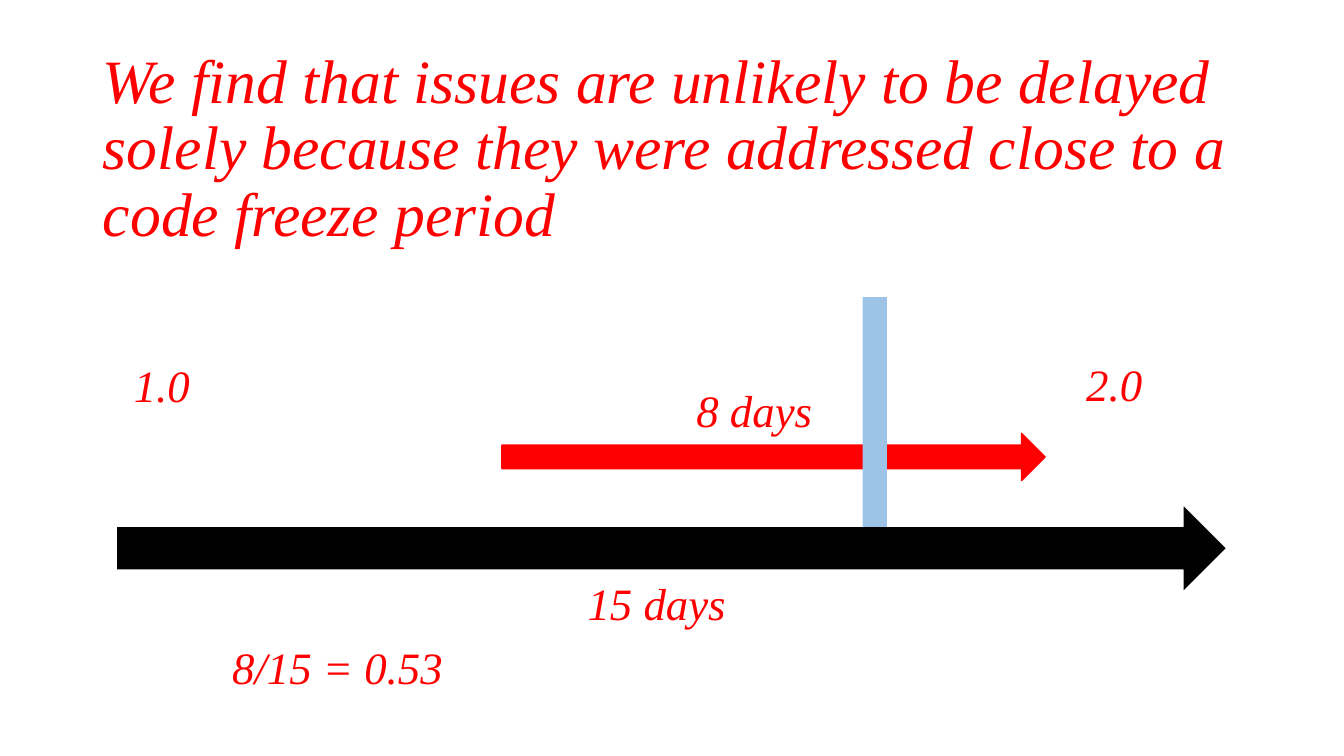
"""Builds a slide that sets the delay of an issue against a release cycle."""
from dataclasses import dataclass
from typing import Optional

from pptx import Presentation
from pptx.dml.color import RGBColor
from pptx.enum.shapes import MSO_SHAPE
from pptx.enum.text import MSO_ANCHOR, MSO_AUTO_SIZE, PP_ALIGN
from pptx.slide import Slide
from pptx.text.text import TextFrame
from pptx.util import Cm, Pt


@dataclass(frozen=True)
class Theme:
    font: str = "Times New Roman"
    red: str = "FF0000"
    black: str = "000000"
    white: str = "FFFFFF"
    blue: str = "9DC3E6"
    head: int = 44
    label: int = 32


@dataclass(frozen=True)
class Label:
    text: str
    left: float
    top: float
    width: float = 7.8
    height: float = 1.63


@dataclass(frozen=True)
class Block:
    kind: MSO_SHAPE
    left: float
    top: float
    width: float
    height: float
    fill: str
    line: Optional[str] = None


THEME = Theme()
TITLE = ("We find that issues are unlikely to be delayed solely because "
         "they were addressed close to a code freeze period")
CYCLE = Block(MSO_SHAPE.RIGHT_ARROW, 2.93, 12.71, 27.99, 2.21, THEME.black, THEME.white)
DELAY = Block(MSO_SHAPE.RIGHT_ARROW, 12.65, 10.92, 13.69, 1.19, THEME.red, THEME.red)
FREEZE = Block(MSO_SHAPE.RECTANGLE, 21.74, 7.49, 0.61, 5.79, THEME.blue)
LABELS = (
    Label("1.0", 0.18, 8.89),
    Label("2.0", 24.18, 8.86),
    Label("8 days", 15.11, 9.53),
    Label("15 days", 12.65, 14.38),
    Label("8/15 = 0.53 ", 4.75, 16),
)


def write(frame: TextFrame, text: str, *, size: int, align: PP_ALIGN,
          anchor: MSO_ANCHOR = MSO_ANCHOR.TOP, space: float = 1.0,
          fit: MSO_AUTO_SIZE = MSO_AUTO_SIZE.NONE) -> None:
    frame.word_wrap = True
    frame.auto_size = fit
    frame.vertical_anchor = anchor
    para = frame.paragraphs[0]
    para.alignment = align
    para.line_spacing = space
    run = para.add_run()
    run.text = text
    run.font.name = THEME.font
    run.font.size = Pt(size)
    run.font.italic = True
    run.font.color.rgb = RGBColor.from_string(THEME.red)


def draw_title(slide: Slide) -> None:
    title = slide.shapes.title
    title.left, title.top = Cm(2.34), Cm(1.02)
    title.width, title.height = Cm(29.21), Cm(5.51)
    write(title.text_frame, TITLE, size=THEME.head, align=PP_ALIGN.LEFT,
          anchor=MSO_ANCHOR.MIDDLE, space=0.9)


def draw_label(slide: Slide, label: Label) -> None:
    box = slide.shapes.add_textbox(Cm(label.left), Cm(label.top),
                                   Cm(label.width), Cm(label.height))
    write(box.text_frame, label.text, size=THEME.label, align=PP_ALIGN.CENTER,
          fit=MSO_AUTO_SIZE.SHAPE_TO_FIT_TEXT)


def draw_block(slide: Slide, block: Block) -> None:
    shape = slide.shapes.add_shape(block.kind, Cm(block.left), Cm(block.top),
                                   Cm(block.width), Cm(block.height))
    shape.shadow.inherit = False
    shape.fill.solid()
    shape.fill.fore_color.rgb = RGBColor.from_string(block.fill)
    if block.line:
        shape.line.color.rgb = RGBColor.from_string(block.line)
        shape.line.width = Pt(1)
    else:
        shape.line.fill.background()


def main() -> None:
    deck = Presentation()
    deck.slide_width, deck.slide_height = Cm(33.87), Cm(19.05)
    slide = deck.slides.add_slide(deck.slide_layouts[5])
    draw_title(slide)
    for block in (CYCLE, DELAY):
        draw_block(slide, block)
    for label in LABELS:
        draw_label(slide, label)
    draw_block(slide, FREEZE)
    deck.save("out.pptx")


if __name__ == "__main__":
    main()
